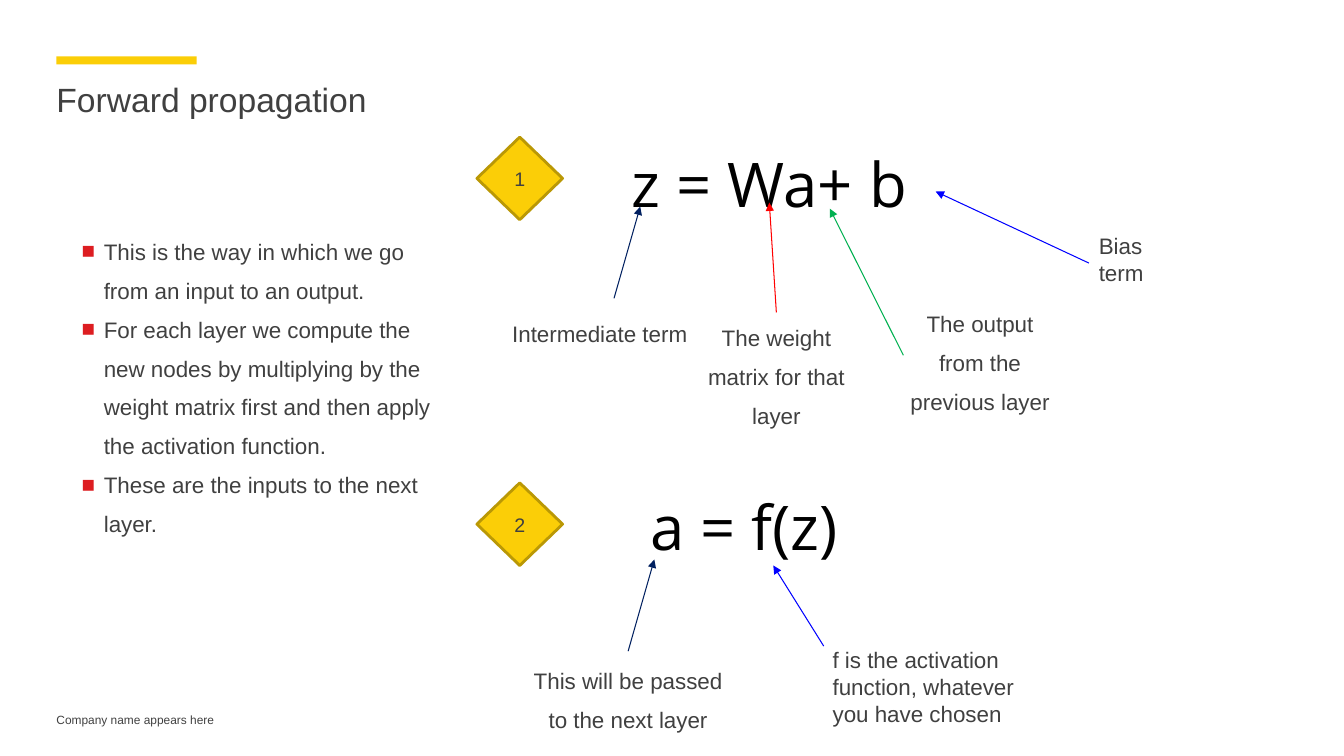
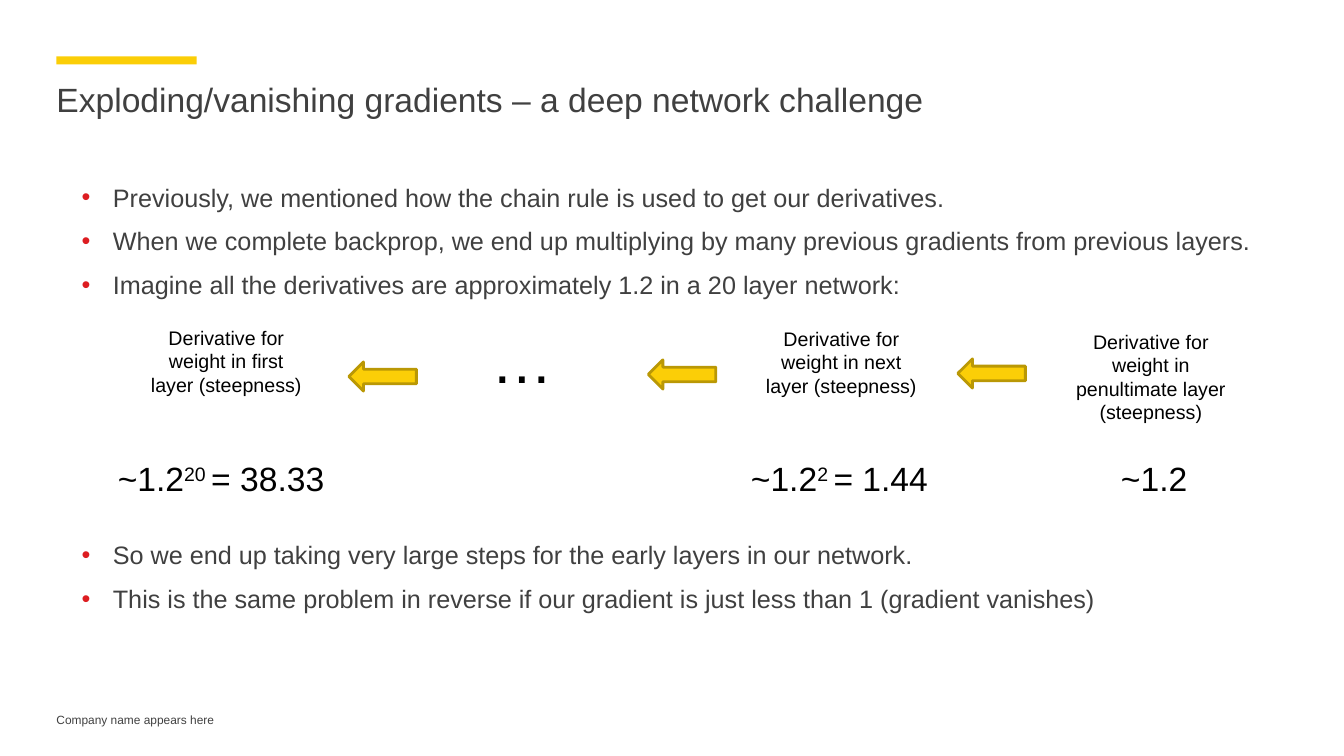
"""Build two slides on forward propagation and exploding gradients."""
from pptx import Presentation
from pptx.dml.color import RGBColor
from pptx.enum.shapes import MSO_CONNECTOR, MSO_SHAPE
from pptx.enum.text import MSO_ANCHOR, PP_ALIGN
from pptx.oxml.ns import qn
from pptx.util import Inches, Pt
from lxml import etree

LEFT, CENTER = PP_ALIGN.LEFT, PP_ALIGN.CENTER
MIDDLE = MSO_ANCHOR.MIDDLE
RECTANGLE, DIAMOND, LEFT_ARROW = MSO_SHAPE.RECTANGLE, MSO_SHAPE.DIAMOND, MSO_SHAPE.LEFT_ARROW
STRAIGHT = MSO_CONNECTOR.STRAIGHT
TOP_SIDE, LEFT_SIDE = 0, 1

YELLOW, OCHRE, RED_BULLET = "FBCE07", "BA9805", "DD1D21"
GRAY, BLACK, NAVY, BLUE, RED, GREEN = "404040", "000000", "002060", "0000FF", "FF0000", "00B050"
LOOSE = 1.45
NO_INSET = (0, 0, 0, 0)
EVEN_INSET = (0.1, 0.1, 0.1, 0.1)
USUAL_INSET = (0.1, 0.05, 0.1, 0.05)

TITLE_FONT = {"name": "Arial", "size": 24, "color": GRAY}
FOOTER_FONT = {"name": "Arial", "size": 8.5, "color": GRAY}
LABEL_FONT = {"name": "Arial", "size": 16, "color": GRAY}
POINT_FONT = {"name": "Arial", "size": 18, "color": GRAY}
BADGE_FONT = {"name": "Arial", "size": 14, "color": GRAY}
STEP_FONT = {"name": "Arial", "size": 14, "color": BLACK}
VALUE_FONT = {"name": "Arial", "size": 24, "color": BLACK}
DOTS_FONT = {"name": "Arial", "size": 44, "color": BLACK}
EQUATION_FONT = {"name": "Open Sans", "size": 44, "color": BLACK}

SPACED = {"inset": NO_INSET, "spacing": LOOSE}
SPACED_CENTER = {**SPACED, "align": CENTER}
COMPACT = {"inset": EVEN_INSET}
SQUARE_BULLET = {**SPACED, "bullet": "■", "indent": (0.22, -0.22)}
ROUND_BULLET = {**SPACED, "bullet": "•", "indent": (0.56, -0.31)}

FOOTER = "Company name appears here"

PROPAGATION_TITLE = "Forward propagation"
PROPAGATION_POINTS = [
    "This is the way in which we go from an input to an output.",
    "For each layer we compute the new nodes by multiplying by the weight matrix first "
    "and then apply the activation function.",
    "These are the inputs to the next layer.",
]
EQUATIONS = [
    ("1", 1.36, "z = Wa+ b", (6.17, 1.35, 6.5, 0.91)),
    ("2", 4.79, "a = f(z)", (6.35, 4.75, 6.5, 0.91)),
]
TERMS = [
    ("Intermediate term", (5.08, 3.06, 1.96, 0.38), SPACED,
     NAVY, (6.09, 2.96), (6.35, 2.05), None),
    ("The weight matrix for that layer", (6.94, 3.1, 1.52, 1.13), SPACED_CENTER,
     RED, (7.7, 3.1), (7.63, 2.01), TOP_SIDE),
    ("The output from the previous layer", (8.96, 2.96, 1.52, 1.13), SPACED_CENTER,
     GREEN, (8.96, 3.53), (8.23, 2.07), LEFT_SIDE),
    ("Bias term", (10.8, 2.2, 0.96, 0.82), COMPACT,
     BLUE, (10.8, 2.61), (9.28, 1.9), LEFT_SIDE),
    ("f is the activation function, whatever you have chosen", (8.16, 6.31, 2.37, 0.82), COMPACT,
     BLUE, (8.17, 6.41), (7.67, 5.61), None),
    ("This will be passed to the next layer", (5.25, 6.5, 1.96, 0.75), SPACED_CENTER,
     NAVY, (6.23, 6.46), (6.49, 5.55), None),
]

GRADIENT_TITLE = "Exploding/vanishing gradients – a deep network challenge"
GRADIENT_POINTS = [
    (1.67, [
        "Previously, we mentioned how the chain rule is used to get our derivatives.",
        "When we complete backprop, we end up multiplying by many previous gradients "
        "from previous layers.",
        "Imagine all the derivatives are approximately 1.2 in a 20 layer network:",
    ]),
    (5.22, [
        "So we end up taking very large steps for the early layers in our network.",
        "This is the same problem in reverse if our gradient is just less than 1 "
        "(gradient vanishes)",
    ]),
]
LAYERS = [
    ("first", (1.38, 3.18), [("~1.2", False), ("20 ", True), ("= 38.33", False)], (1.07, 2.34)),
    ("next", (7.48, 3.19), [("~1.2", False), ("2 ", True), ("= 1.44", False)], (7.35, 2)),
    ("penultimate", (10.55, 3.22), [("~1.2", False)], (11.02, 0.96)),
]
STEP_ARROWS = [(3.46, 3.59), (6.43, 3.57), (9.5, 3.56)]


def rgb(value):
    """Turn a hex string into a colour."""
    return RGBColor.from_string(value)


def add_run(paragraph, text, font, raised=False):
    """Append formatted text, raised if it is an exponent."""
    run = paragraph.add_run()
    run.text = text
    for attribute, value in {"name": font["name"], "size": Pt(font["size"])}.items():
        setattr(run.font, attribute, value)
    run.font.color.rgb = rgb(font["color"])
    if raised:
        run._r.get_or_add_rPr().set("baseline", "30000")


def add_bullet(paragraph, mark, indent):
    """Give a paragraph a red bullet with a hanging indent."""
    properties = paragraph._p.get_or_add_pPr()
    for key, length in zip(("marL", "indent"), indent):
        properties.set(key, str(Inches(length)))
    colour = etree.SubElement(properties, qn("a:buClr"))
    etree.SubElement(colour, qn("a:srgbClr")).set("val", RED_BULLET)
    etree.SubElement(properties, qn("a:buFont")).set("typeface", "Arial")
    etree.SubElement(properties, qn("a:buChar")).set("char", mark)


def add_text(slide, box, paragraphs, font, inset=USUAL_INSET, align=LEFT,
             spacing=None, bullet=None, indent=None):
    """Add a text box; a paragraph is a string or a list of (text, raised)."""
    area = slide.shapes.add_textbox(*map(Inches, box))
    frame = area.text_frame
    frame.word_wrap = True
    for side, margin in zip(("left", "top", "right", "bottom"), inset):
        setattr(frame, f"margin_{side}", Inches(margin))
    for index, content in enumerate(paragraphs):
        paragraph = frame.add_paragraph() if index else frame.paragraphs[0]
        paragraph.alignment = align
        if spacing:
            paragraph.line_spacing = spacing
        if bullet:
            add_bullet(paragraph, bullet, indent)
        for text, raised in [(content, False)] if isinstance(content, str) else content:
            add_run(paragraph, text, font, raised)
    return area


def add_yellow(slide, preset, box, outlined=True):
    """Add a yellow shape, with an ochre outline if asked."""
    shape = slide.shapes.add_shape(preset, *map(Inches, box))
    shape.shadow.inherit = False
    shape.fill.solid()
    shape.fill.fore_color.rgb = rgb(YELLOW)
    if outlined:
        shape.line.color.rgb = rgb(OCHRE)
        shape.line.width = Pt(2)
    else:
        shape.line.fill.background()
    return shape


def add_pointer(slide, color, start, tip, label, site):
    """Draw a thin arrow from a label to its term."""
    pointer = slide.shapes.add_connector(STRAIGHT, *map(Inches, start + tip))
    if site is not None:
        pointer.begin_connect(label, site)
    pointer.line.color.rgb = rgb(color)
    pointer.line.width = Pt(0.75)
    properties = pointer._element.spPr
    etree.SubElement(properties.find(qn("a:ln")), qn("a:tailEnd")).set("type", "triangle")
    etree.SubElement(properties, qn("a:effectLst"))


def add_page(deck, title):
    """Add a slide with the shared bar, title and footer."""
    slide = deck.slides.add_slide(deck.slide_layouts[6])
    add_yellow(slide, RECTANGLE, (0.56, 0.56, 1.39, 0.08), outlined=False)
    add_text(slide, (0.56, 7.07, 3.67, 0.26), [FOOTER], FOOTER_FONT, inset=(0, 0, 0, 0.05))
    add_text(slide, (0.56, 0.78, 12.22, 0.82), [title], TITLE_FONT, inset=NO_INSET)
    return slide


def build_propagation(deck):
    """Build the slide with the two annotated equations."""
    slide = add_page(deck, PROPAGATION_TITLE)
    add_text(slide, (0.81, 2.24, 3.64, 3.02), PROPAGATION_POINTS, LABEL_FONT, **SQUARE_BULLET)
    for number, top, equation, box in EQUATIONS:
        badge = add_yellow(slide, DIAMOND, (4.73, top, 0.85, 0.82))
        badge.text_frame.vertical_anchor = MIDDLE
        paragraph = badge.text_frame.paragraphs[0]
        paragraph.alignment = CENTER
        add_run(paragraph, number, BADGE_FONT)
        add_text(slide, box, [equation], EQUATION_FONT, **COMPACT)
    for text, box, layout, color, start, tip, site in TERMS:
        label = add_text(slide, box, [text], LABEL_FONT, **layout)
        add_pointer(slide, color, start, tip, label, site)


def build_gradients(deck):
    """Build the slide that follows the gradient back through the layers."""
    slide = add_page(deck, GRADIENT_TITLE)
    for top, points in GRADIENT_POINTS:
        add_text(slide, (0.56, top, 11.98, 1.28), points, POINT_FONT, **ROUND_BULLET)
    for left, top in STEP_ARROWS:
        add_yellow(slide, LEFT_ARROW, (left, top, 0.67, 0.29))
    add_text(slide, (4.78, 3.14, 0.8, 0.84), ["…"], DOTS_FONT)
    for layer, corner, value, (left, width) in LAYERS:
        description = f"Derivative for weight in {layer} layer (steepness)"
        add_text(slide, corner + (1.73, 0.81), [description], STEP_FONT, align=CENTER)
        add_text(slide, (left, 4.49, width, 0.5), [value], VALUE_FONT)


def main():
    """Build and save the deck."""
    deck = Presentation()
    deck.slide_width, deck.slide_height = Inches(13.33), Inches(7.5)
    build_propagation(deck)
    build_gradients(deck)
    deck.save("out.pptx")


if __name__ == "__main__":
    main()
